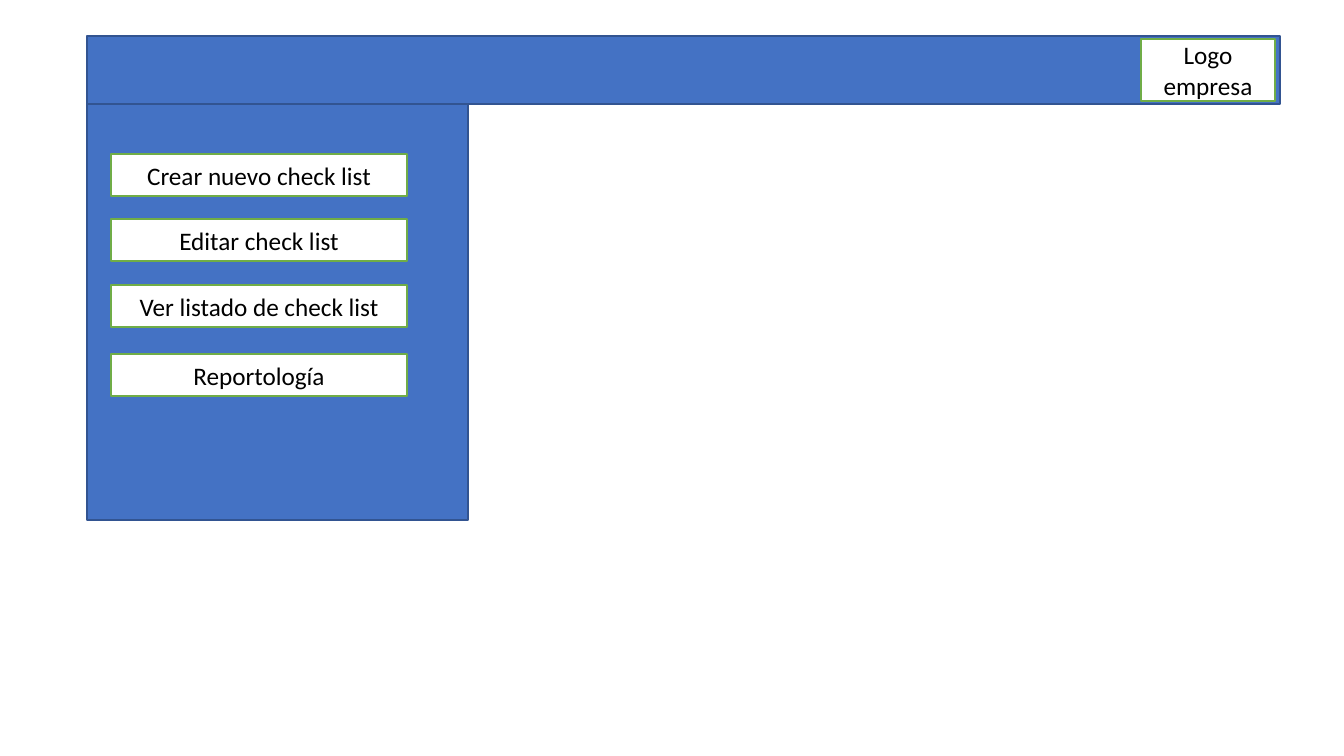
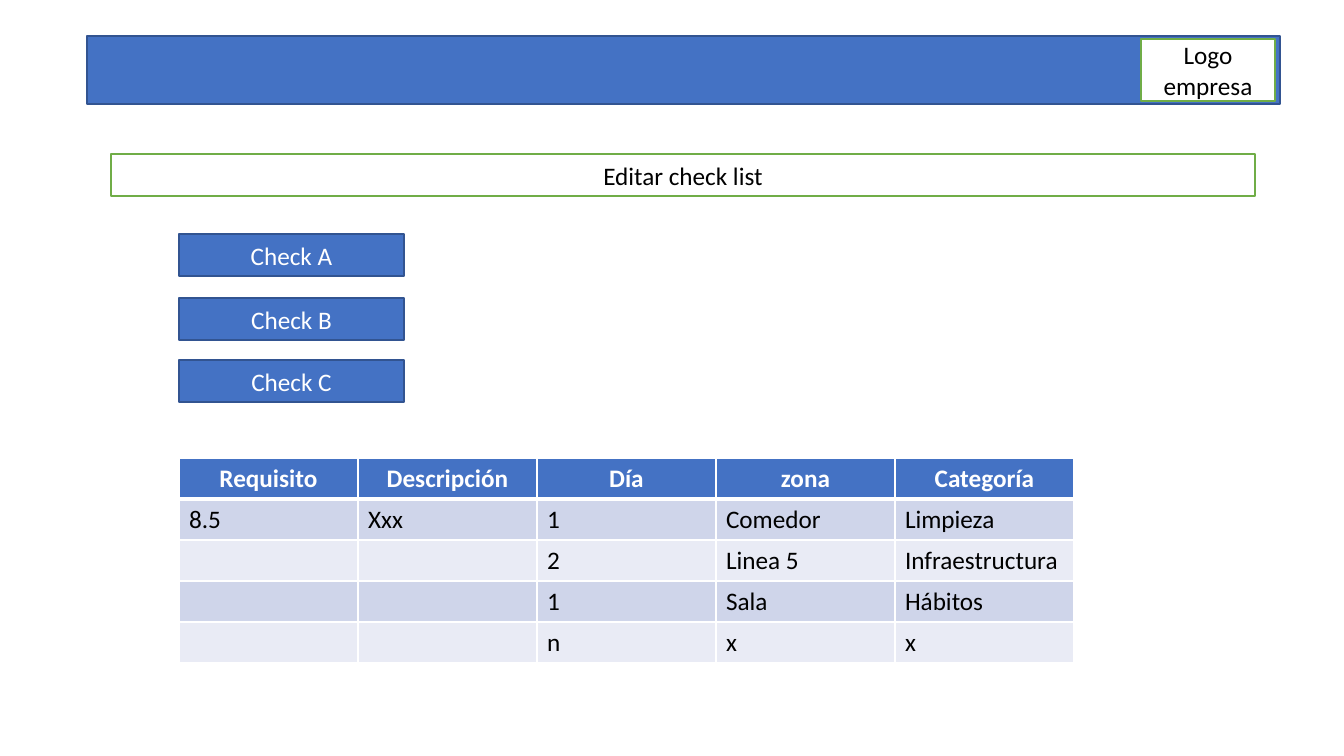
from lxml.etree import SubElement
from pptx import Presentation
from pptx.dml.color import RGBColor
from pptx.enum.shapes import MSO_SHAPE as Shape
from pptx.enum.text import MSO_ANCHOR as Anchor, PP_ALIGN as Align
from pptx.oxml.ns import qn
from pptx.util import Pt

PIXEL = 914400 / 100.8
FONT, TEXT_SIZE = "Calibri", Pt(18)
BLUE = RGBColor(0x44, 0x72, 0xC4)
NAVY = RGBColor(0x32, 0x54, 0x91)
GREEN = RGBColor(0x70, 0xAD, 0x47)
WHITE = RGBColor(0xFF, 0xFF, 0xFF)
BLACK = RGBColor(0x00, 0x00, 0x00)
ROW_DARK = RGBColor(0xCF, 0xD5, 0xEA)
ROW_LIGHT = RGBColor(0xE9, 0xEB, 0xF5)

# Fill, outline and text colour of the two kinds of panel
SOLID = (BLUE, NAVY, WHITE)
OUTLINED = (WHITE, GREEN, BLACK)

BAND = (87, 36, 1193, 68)
SIDEBAR = (87, 104, 381, 416)
HEADING = (111, 154, 1144, 42)
CHECKS = (179, 234, 225, 168)
REQUIREMENTS = (179, 458, 895, 205)
BUTTON_HEIGHT = 42

MENU = [("Crear nuevo check list", 50), ("Editar check list", 115),
        ("Ver listado de check list", 181), ("Reportología", 250)]
CHECK_BUTTONS = [("Check A", 0), ("Check B", 64), ("Check C", 126)]
ROWS = [
    ("Requisito", "Descripción", "Día", "zona", "Categoría"),
    ("8.5", "Xxx", "1", "Comedor", "Limpieza"),
    ("", "", "2", "Linea 5", "Infraestructura"),
    ("", "", "1", "Sala", "Hábitos"),
    ("", "", "n", "x", "x"),
]


def emu(*pixels):
    return [round(length * PIXEL) for length in pixels]


def write(paragraph, text, color, align, bold=False):
    paragraph.text = text
    paragraph.alignment = align
    font = paragraph.font
    font.name, font.size, font.bold = FONT, TEXT_SIZE, bold
    font.color.rgb = color


def add_panel(slide, box, style, text=""):
    fill, outline, text_color = style
    panel = slide.shapes.add_shape(Shape.RECTANGLE, *emu(*box))
    panel.shadow.inherit = False
    panel.fill.solid()
    panel.fill.fore_color.rgb = fill
    panel.line.color.rgb = outline
    panel.line.width = Pt(1)
    if text:
        panel.text_frame.word_wrap = True
        panel.text_frame.vertical_anchor = Anchor.MIDDLE
        write(panel.text_frame.paragraphs[0], text, text_color, Align.CENTER)


def add_band(slide, box):
    left, top, width, _ = box
    add_panel(slide, box, SOLID)
    add_panel(slide, (left + width - 139, top + 3, 134, 62), OUTLINED,
              "Logo empresa")


def add_buttons(slide, box, buttons, style):
    left, top, width, _ = box
    for label, offset in buttons:
        add_panel(slide, (left, top + offset, width, BUTTON_HEIGHT), style, label)


def add_sidebar(slide, box):
    left, top, _, height = box
    add_panel(slide, box, SOLID)
    add_buttons(slide, (left + 24, top, 296, height), MENU, OUTLINED)


def set_borders(cell, **widths):
    properties = cell._tc.get_or_add_tcPr()
    for side in "LRTB":
        border = SubElement(properties, qn(f"a:ln{side}"),
                            w=str(Pt(widths.get(side, 1))))
        fill = SubElement(border, qn("a:solidFill"))
        SubElement(fill, qn("a:srgbClr"), val=str(WHITE))


def add_requirements(slide, box):
    _, _, width, height = box
    table = slide.shapes.add_table(len(ROWS), len(ROWS[0]), *emu(*box)).table
    for column in table.columns:
        column.width = emu(width / len(ROWS[0]))[0]
    for row in table.rows:
        row.height = emu(height / len(ROWS))[0]
    for r, texts in enumerate(ROWS):
        is_header = r == 0
        row_fill = BLUE if is_header else ROW_DARK if r % 2 else ROW_LIGHT
        for c, text in enumerate(texts):
            cell = table.cell(r, c)
            # The rule under the header is heavier than the others
            set_borders(cell, B=3 if is_header else 1, T=3 if r == 1 else 1)
            cell.fill.solid()
            cell.fill.fore_color.rgb = row_fill
            write(cell.text_frame.paragraphs[0], text,
                  WHITE if is_header else BLACK,
                  Align.CENTER if is_header else Align.LEFT, is_header)


def new_slide(deck):
    slide = deck.slides.add_slide(deck.slide_layouts[6])
    add_band(slide, BAND)
    return slide


def build_menu_slide(deck):
    add_sidebar(new_slide(deck), SIDEBAR)


def build_edit_slide(deck):
    slide = new_slide(deck)
    add_panel(slide, HEADING, OUTLINED, "Editar check list")
    add_requirements(slide, REQUIREMENTS)
    add_buttons(slide, CHECKS, CHECK_BUTTONS, SOLID)


deck = Presentation()
deck.slide_width, deck.slide_height = emu(1344, 756)
build_menu_slide(deck)
build_edit_slide(deck)
deck.save("out.pptx")
